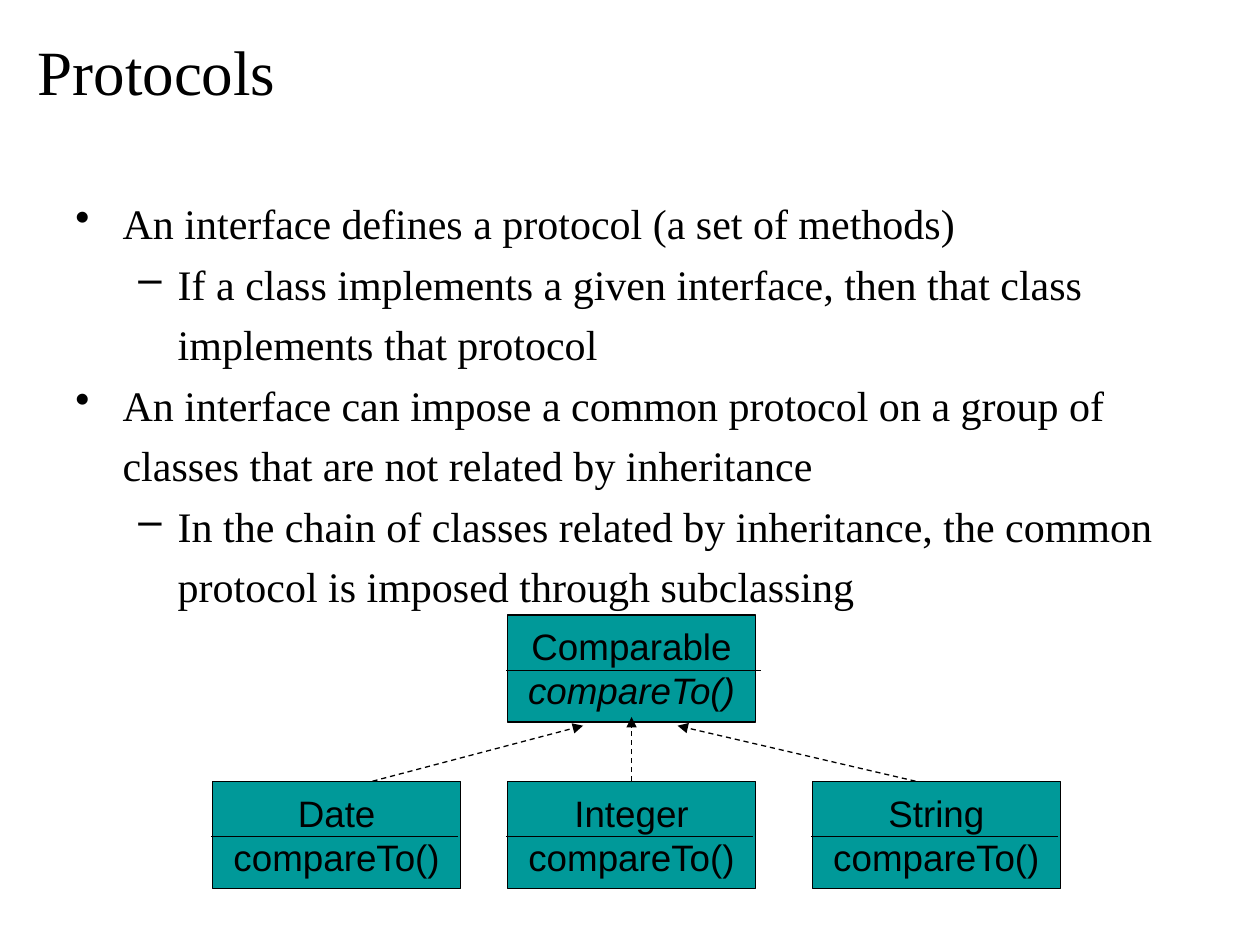
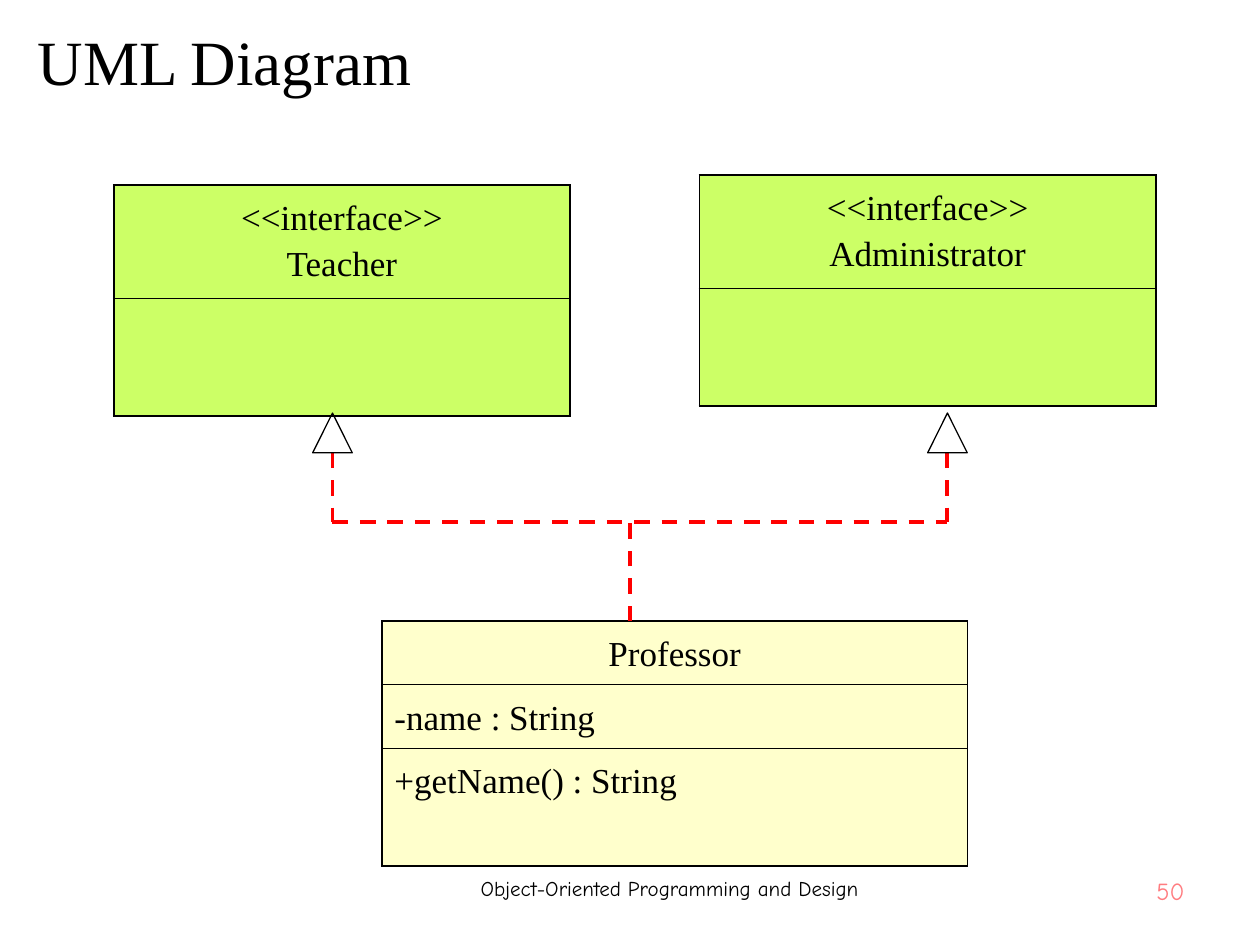
from dataclasses import dataclass
from lxml.etree import SubElement as Sub
from pptx import Presentation
from pptx.dml.color import RGBColor as Rgb
from pptx.enum.dml import MSO_LINE as Dash
from pptx.enum.shapes import MSO_CONNECTOR as Conn, MSO_SHAPE as Geo
from pptx.enum.text import MSO_ANCHOR as Anchor, PP_ALIGN as Align
from pptx.oxml.ns import qn
from pptx.util import Pt


@dataclass(frozen=True)
class Theme:
    ink: str = "000000"
    teal: str = "009999"
    lime: str = "CCFF66"
    cream: str = "FFFFCC"
    red: str = "FF0000"
    pink: str = "FF7C80"
    serif: str = "Times New Roman"
    sans: str = "Arial"
    hand: str = "Comic Neue"
    title: float = 36
    body: float = 24
    label: float = 21
    cell: float = 20
    page: float = 14
    foot: float = 12
    space: float = 1.2
    thin: float = 0.75
    bold: float = 2.25
    edge: float = 1.08
    rule: float = 0.45


T = Theme()


def style(para, name, size, color=T.ink, align=None, space=None):
    para.alignment = align
    if space:
        para.line_spacing = space
    font = para.font
    font.name, font.size = name, Pt(size)
    font.color.rgb = Rgb.from_string(color)


def fill_text(frame, lines, *look, **more):
    frame.text = "\n".join(lines)
    for para in frame.paragraphs:
        style(para, *look, **more)


def add_text(slide, box, lines, *look, anchor=Anchor.TOP, **more):
    frame = slide.shapes.add_textbox(*map(Pt, box)).text_frame
    frame.word_wrap = True
    frame.vertical_anchor = anchor
    fill_text(frame, lines, *look, **more)
    return frame


def add_line(slide, start, end, color=T.ink, width=T.thin, dash=False, arrow=False):
    link = slide.shapes.add_connector(Conn.STRAIGHT, *map(Pt, (*start, *end)))
    link.line.color.rgb = Rgb.from_string(color)
    link.line.width = Pt(width)
    if dash:
        link.line.dash_style = Dash.DASH
    props = link.element.spPr
    if arrow:
        Sub(props.find(qn("a:ln")), qn("a:tailEnd"), type="triangle")
    Sub(props, qn("a:effectLst"))
    return link


def add_geo(slide, kind, box, fill=None):
    shape = slide.shapes.add_shape(kind, *map(Pt, box))
    shape.shadow.inherit = False
    if fill:
        shape.fill.solid()
        shape.fill.fore_color.rgb = Rgb.from_string(fill)
    else:
        shape.fill.background()
    shape.line.color.rgb = Rgb.from_string(T.ink)
    shape.line.width = Pt(T.thin)
    return shape


def add_title(slide, text, top):
    add_text(slide, (14.4, top, 692, 62), [text], T.serif, T.title,
             anchor=Anchor.MIDDLE)


def add_bullets(slide, box, items):
    frame = add_text(slide, box, [text for _, text in items], T.serif, T.body,
                     space=T.space)
    marks = (("•", 27, -27), ("–", 58.5, -22.5))
    for para, (level, _) in zip(frame.paragraphs, items):
        mark, left, hang = marks[level]
        para.level = level
        props = para._p.get_or_add_pPr()
        props.set("marL", str(Pt(left)))
        props.set("indent", str(Pt(hang)))
        bullet = Sub(props, qn("a:buChar"), char=mark)
        props.find(qn("a:defRPr")).addprevious(bullet)


def add_class(slide, box, name, over=0, italic=False):
    left, top, wide, _ = box
    shape = add_geo(slide, Geo.RECTANGLE, box, T.teal)
    frame = shape.text_frame
    frame.word_wrap = False
    frame.vertical_anchor = Anchor.TOP
    frame.margin_left = frame.margin_right = Pt(10.8)
    frame.margin_top = frame.margin_bottom = Pt(5.2)
    fill_text(frame, [name, "compareTo()"], T.sans, T.label, align=Align.CENTER)
    if italic:
        frame.paragraphs[1].font.italic = True
    rule = top + 31.7
    add_line(slide, (left - 0.7, rule), (left + wide - 1.4 + over, rule))
    return shape


def add_family(slide, box):
    left, top, _, high = box
    wide, tall = 141.8, 61.2
    base, tip = top + high - tall, top + 63.3
    add_class(slide, (left + 168.5, top, wide, tall), "Comparable", 4.3, True)
    kids = [add_class(slide, (left + x, base, wide, tall), name)
            for name, x in (("Date", 0), ("Integer", 168.5), ("String", 342.7))]
    for start, end in ((91.4, 211.7), (401.7, 265.7)):
        add_line(slide, (left + start, base), (left + end, tip), dash=True, arrow=True)
    mid = left + 168.5 + wide / 2
    stem = add_line(slide, (mid, base), (mid, top + 58.3), dash=True, arrow=True)
    stem.begin_connect(kids[1], 0)


def add_border(cell, first, last):
    props = cell._tc.get_or_add_tcPr()
    widths = (T.edge, T.edge, T.edge if first else T.rule, T.edge if last else T.rule)
    for at, (side, width) in enumerate(zip("LRTB", widths)):
        line = props.makeelement(qn(f"a:ln{side}"), {"w": str(Pt(width))})
        Sub(Sub(line, qn("a:solidFill")), qn("a:srgbClr"), val=T.ink)
        props.insert(at, line)


def add_uml(slide, left, top, wide, rows, fill):
    high = sum(row[0] for row in rows)
    table = slide.shapes.add_table(len(rows), 1, *map(Pt, (left, top, wide, high))).table
    table.first_row = table.horz_banding = False
    for at, (tall, lines) in enumerate(rows):
        table.rows[at].height = Pt(tall)
        cell = table.cell(at, 0)
        cell.fill.solid()
        cell.fill.fore_color.rgb = Rgb.from_string(fill)
        fill_text(cell.text_frame, lines, T.serif, T.cell, space=T.space,
                  align=Align.LEFT if at else Align.CENTER)
        add_border(cell, at == 0, at == len(rows) - 1)


def add_tree(slide, box):
    left, top, wide, high = box
    right, bar, trunk = left + wide, top + 62.2, left + 170
    tip = (22.6, 22.7)
    red = dict(color=T.red, width=T.bold, dash=True)
    add_line(slide, (left, bar), (right, bar), **red)
    for x in (left, right):
        add_line(slide, (x, top + tip[1]), (x, bar), **red)
        add_geo(slide, Geo.ISOSCELES_TRIANGLE, (x - tip[0] / 2, top, *tip))
    add_line(slide, (trunk, top + high), (trunk, bar), **red)


def add_footer(slide, text, page):
    add_text(slide, (604, 496.8, 80, 32.4), [page], T.hand, T.page, T.pink,
             align=Align.RIGHT)
    add_text(slide, (218.2, 496.8, 329, 32.4), [text], T.hand, T.foot,
             align=Align.CENTER)


def protocols(slide):
    add_title(slide, "Protocols", 9.2)
    add_bullets(slide, (36, 103.7, 648, 380), [
        (0, "An interface defines a protocol (a set of methods)"),
        (1, "If a class implements a given interface, then that class "
            "implements that protocol"),
        (0, "An interface can impose a common protocol on a group of classes "
            "that are not related by inheritance"),
        (1, "In the chain of classes related by inheritance, the common "
            "protocol is imposed through subclassing"),
    ])
    add_family(slide, (121.5, 351.4, 484.5, 156.2))


def diagram(slide):
    add_footer(slide, "Object-Oriented Programming and Design", "50")
    add_title(slide, "UML Diagram", 3.4)
    for left, top, name in ((65, 105.7, "Teacher"), (399.7, 100, "Administrator")):
        rows = [(64.8, ["<<interface>>", name]), (67.2, [""])]
        add_uml(slide, left, top, 260.8, rows, T.lime)
    rows = [(36.3, ["Professor"]), (36.3, ["-name : String"]),
            (67.2, ["+getName() : String"])]
    add_uml(slide, 218.2, 355, 334.6, rows, T.cream)
    add_tree(slide, (190, 236, 351.4, 119))


def main():
    deck = Presentation()
    deck.slide_width, deck.slide_height = Pt(720), Pt(540)
    for build in (protocols, diagram):
        build(deck.slides.add_slide(deck.slide_layouts[6]))
    deck.save("out.pptx")


if __name__ == "__main__":
    main()
